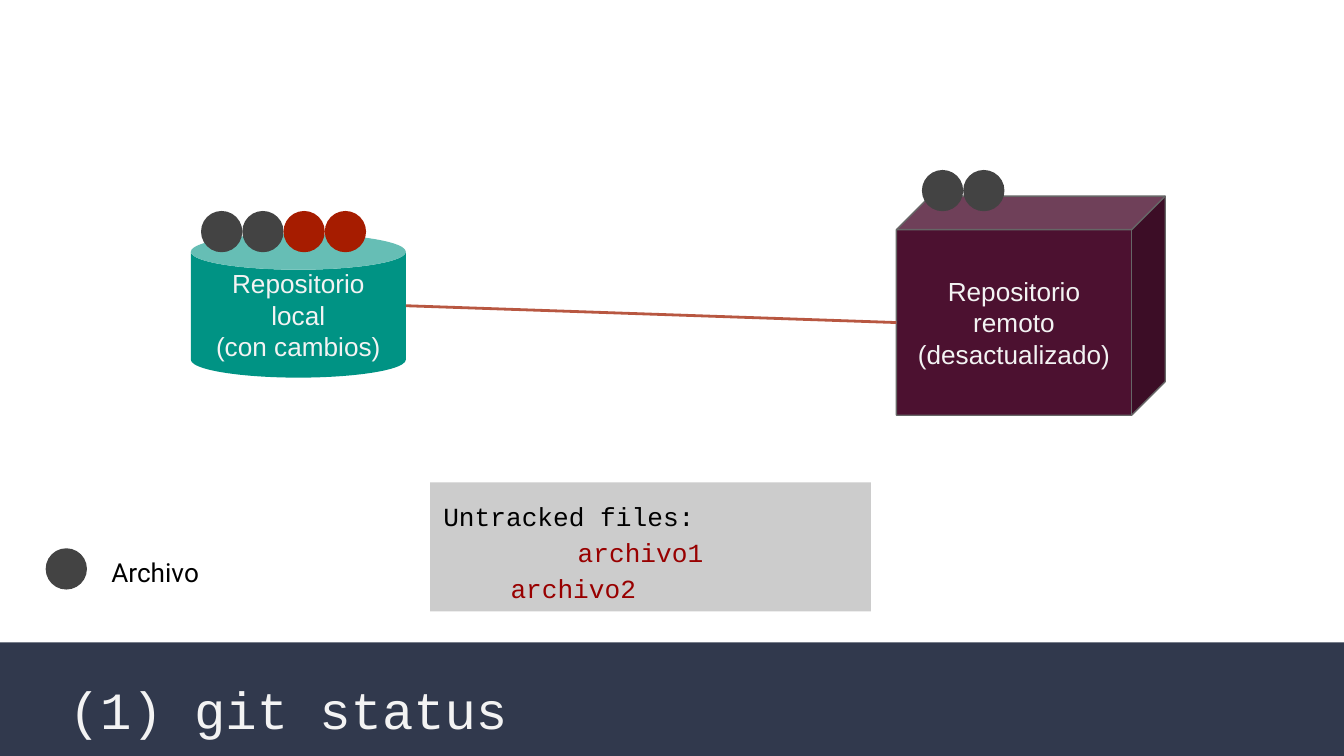
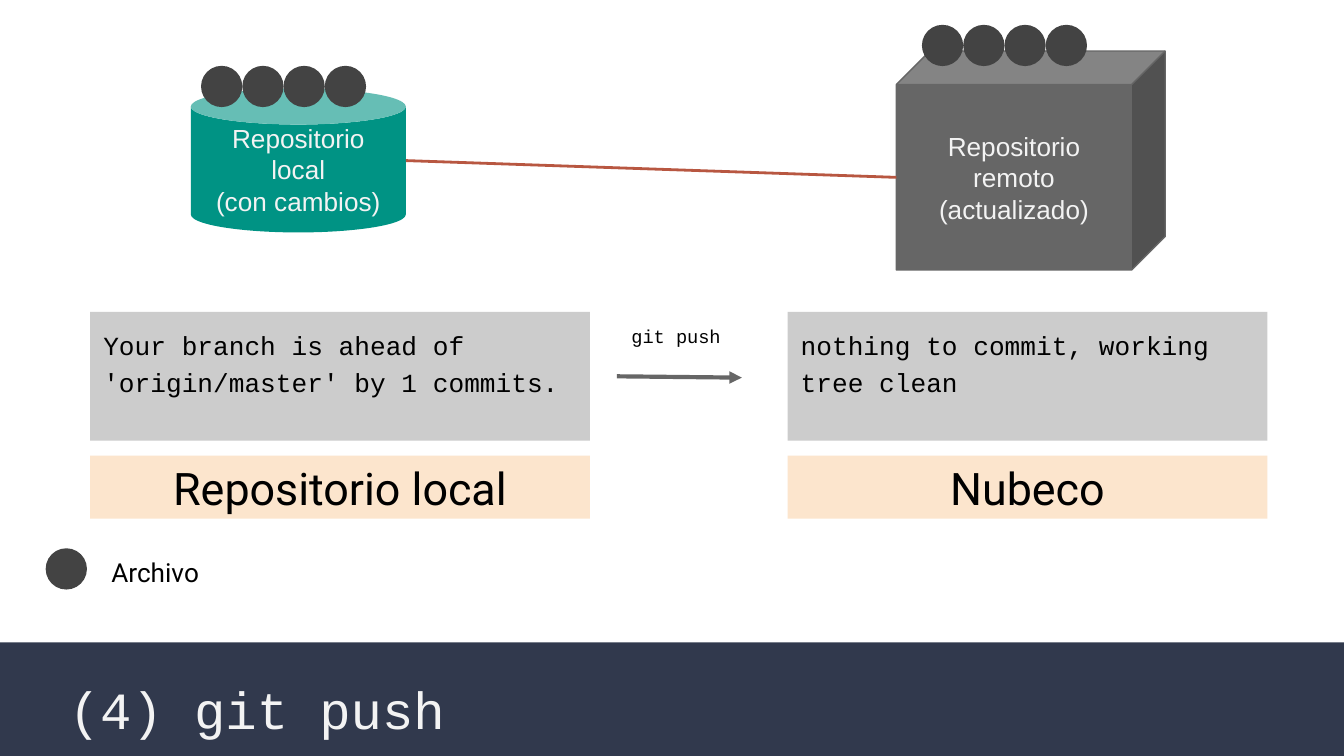
"""Build two slides on git status and git push between a local and a remote repository."""
from dataclasses import dataclass

from lxml import etree
from pptx import Presentation
from pptx.dml.color import RGBColor
from pptx.enum.shapes import MSO_CONNECTOR, MSO_SHAPE
from pptx.enum.text import MSO_ANCHOR, MSO_AUTO_SIZE, PP_ALIGN
from pptx.oxml.ns import qn
from pptx.util import Inches, Pt

RECT, CAN, CUBE, OVAL = MSO_SHAPE.RECTANGLE, MSO_SHAPE.CAN, MSO_SHAPE.CUBE, MSO_SHAPE.OVAL
STRAIGHT = MSO_CONNECTOR.STRAIGHT
LEFT, CENTER = PP_ALIGN.LEFT, PP_ALIGN.CENTER
TOP, MIDDLE, BOTTOM = MSO_ANCHOR.TOP, MSO_ANCHOR.MIDDLE, MSO_ANCHOR.BOTTOM


@dataclass(frozen=True)
class Theme:
    """Colours, fonts and type sizes."""
    band: str = "31394D"
    light: str = "F3F3F3"
    dark: str = "000000"
    local: str = "009384"
    outdated: str = "4C1130"
    grey: str = "666666"
    link: str = "B85741"
    file: str = "434343"
    changed: str = "A61C00"
    untracked: str = "980000"
    console: str = "CCCCCC"
    caption: str = "FCE5CD"
    sans: str = "Arial"
    label: str = "Roboto"
    mono: str = "Courier New"
    title_size: int = 28
    caption_size: int = 24
    body_size: int = 14
    small_size: int = 10


T = Theme()
prs = Presentation()
prs.slide_width, prs.slide_height = Inches(10), Inches(5.625)
COL = ROW = prs.slide_width // 100
DOT = 3.07


def add_block(s, kind, x, y, w, h, fill, line=None):
    """Add a preset shape given in grid columns and rows."""
    sp = s.shapes.add_shape(kind, int(x * COL), int(y * ROW), int(w * COL), int(h * ROW))
    sp.shadow.inherit = False
    sp.fill.solid()
    sp.fill.fore_color.rgb = RGBColor.from_string(fill)
    if line:
        sp.line.color.rgb = RGBColor.from_string(line)
        sp.line.width = Pt(0.75)
    else:
        sp.line.fill.background()
    return sp


def write(tf, lines, font=T.mono, size=T.body_size, color=T.dark,
          align=LEFT, anchor=TOP, spacing=1.0):
    """Fill a text frame with one formatted paragraph per line."""
    tf.word_wrap, tf.auto_size, tf.vertical_anchor = True, MSO_AUTO_SIZE.NONE, anchor
    tf.margin_left = tf.margin_right = tf.margin_top = tf.margin_bottom = COL
    for i, line in enumerate(lines):
        p = tf.add_paragraph() if i else tf.paragraphs[0]
        p.alignment, p.line_spacing = align, spacing
        r = p.add_run()
        r.text = line
        r.font.name, r.font.size = font, Pt(size)
        r.font.color.rgb = RGBColor.from_string(color)


layout = prs.slide_layouts[5]
slides = [
    dict(title="(1) git status", top=17.4, remote="(desactualizado)", cube=T.outdated,
         local_files=[T.file] * 2 + [T.changed] * 2, remote_files=[T.file] * 2,
         consoles=[(32, 35.9, 32.8, ["Untracked files:", "archivo1", "archivo2"])],
         captions=[], arrows=[]),
    dict(title="(4) git push", top=6.6, remote="(actualizado)", cube=T.grey,
         local_files=[T.file] * 4, remote_files=[T.file] * 4,
         consoles=[(6.7, 23.2, 37.2, ["Your branch is ahead of 'origin/master' by 1 commits."]),
                   (58.6, 23.2, 35.7, ["nothing to commit, working tree clean"])],
         captions=[(6.7, 37.2, "Repositorio local"), (58.6, 35.7, "Nubeco")],
         arrows=[(45.9, 28, 55.2, 28.1, T.grey, 2.25, True)]),
]

for n, d in enumerate(slides):
    s = prs.slides.add_slide(layout)
    if n == 0:
        band = add_block(s, RECT, 0, 47.8, 100, 8.45, T.band)
        layout.shapes.element.insert(2, band.element)

    title = s.shapes.title
    title.left, title.top = int(1.8 * COL), int(48.7 * ROW)
    title.width, title.height = 90 * COL, int(6.8 * ROW)
    write(title.text_frame, [d["title"]], size=T.title_size, color=T.light, anchor=BOTTOM)
    title.text_frame.margin_left = int(3.33 * COL)
    title.text_frame.margin_bottom = int(0.4 * ROW)

    top = d["top"]
    can = add_block(s, CAN, 14.2, top, 16, 10.7, T.local)
    cube = add_block(s, CUBE, 66.7, top - 2.8, 20, 16.3, d["cube"], T.grey)
    cube.adjustments[0] = 0.153
    for sp, lines in ((can, ["Repositorio local", "(con cambios)"]),
                      (cube, ["Repositorio remoto", d["remote"]])):
        write(sp.text_frame, lines, font=T.sans, color=T.light, align=CENTER, anchor=MIDDLE)

    link = (30.2, top + 5.35, 66.7, top + 6.6, T.link, 1.5, False)
    for x1, y1, x2, y2, color, width, arrow in [link] + d["arrows"]:
        c = s.shapes.add_connector(STRAIGHT, int(x1 * COL), int(y1 * ROW),
                                   int(x2 * COL), int(y2 * ROW))
        c.line.color.rgb, c.line.width = RGBColor.from_string(color), Pt(width)
        if arrow:
            etree.SubElement(c.line._get_or_add_ln(), qn("a:tailEnd"), type="triangle")
        etree.SubElement(c.element.spPr, qn("a:effectLst"))

    for x, y, files in ((14.96, top - 1.7, d["local_files"]),
                        (68.6, top - 4.75, d["remote_files"]),
                        (3.4, 40.8, [T.file])):
        for i, color in enumerate(files):
            add_block(s, OVAL, x + i * DOT, y, DOT, DOT, color)

    labels = [(7.3, 40.4, 9.2, 4, "Archivo", T.label, T.body_size)]
    if d["arrows"]:
        labels.append((46, 23.6, 10.6, 1.2, "git push", T.mono, T.small_size))
    for x, y, w, h, text, font, size in labels:
        tb = s.shapes.add_textbox(int(x * COL), int(y * ROW), int(w * COL), int(h * ROW))
        write(tb.text_frame, [text], font=font, size=size)

    for x, y, w, lines in d["consoles"]:
        tf = add_block(s, RECT, x, y, w, 9.6, T.console).text_frame
        write(tf, lines, spacing=1.15)
        for p, indent in zip(tf.paragraphs[1:], (10, 5)):
            p.runs[0].font.color.rgb = RGBColor.from_string(T.untracked)
            p._p.get_or_add_pPr().set("marL", str(indent * COL))

    for x, w, text in d["captions"]:
        sp = add_block(s, RECT, x, 33.9, w, 4.7, T.caption)
        write(sp.text_frame, [text], font=T.label, size=T.caption_size,
              align=CENTER, anchor=MIDDLE)

prs.save("out.pptx")
